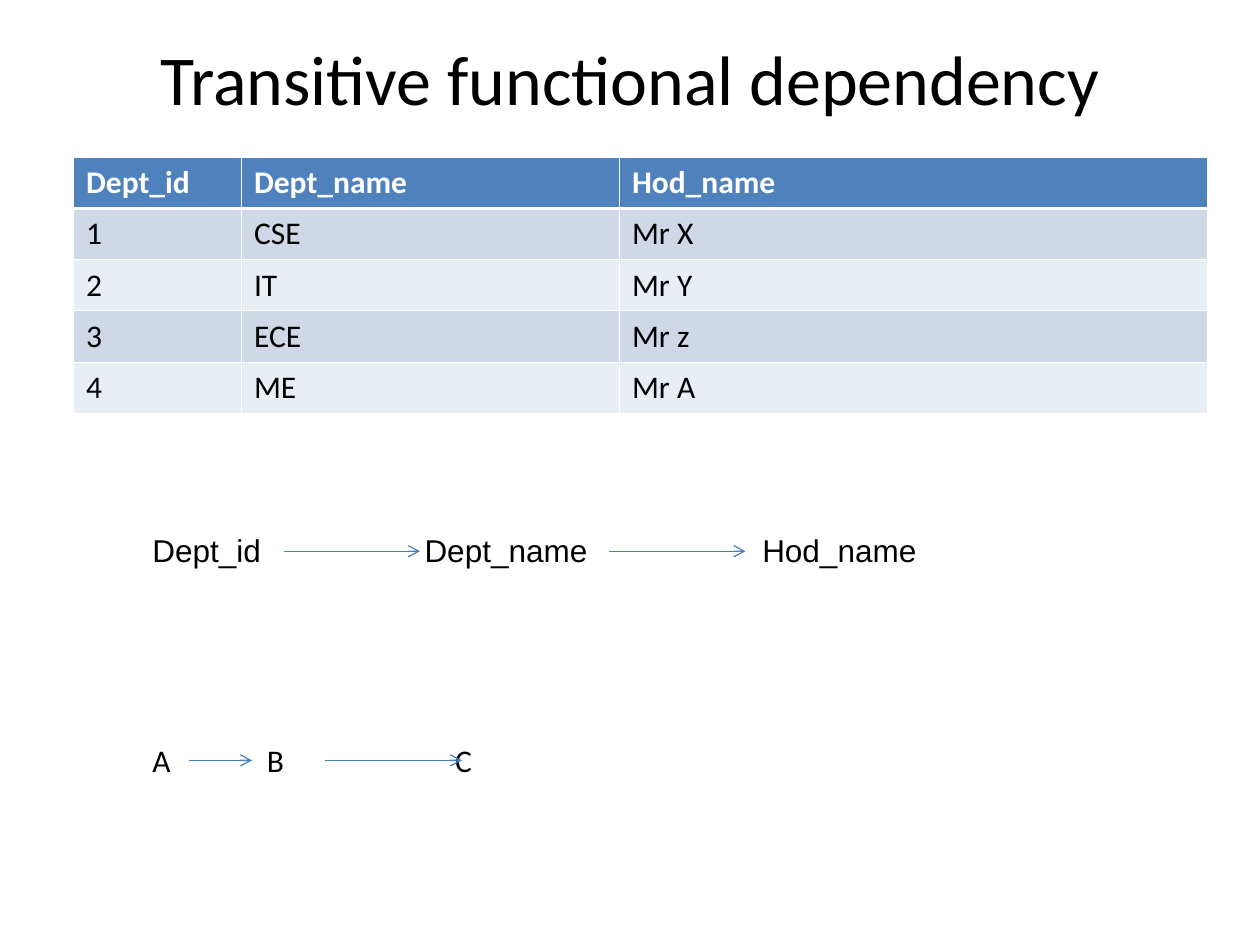
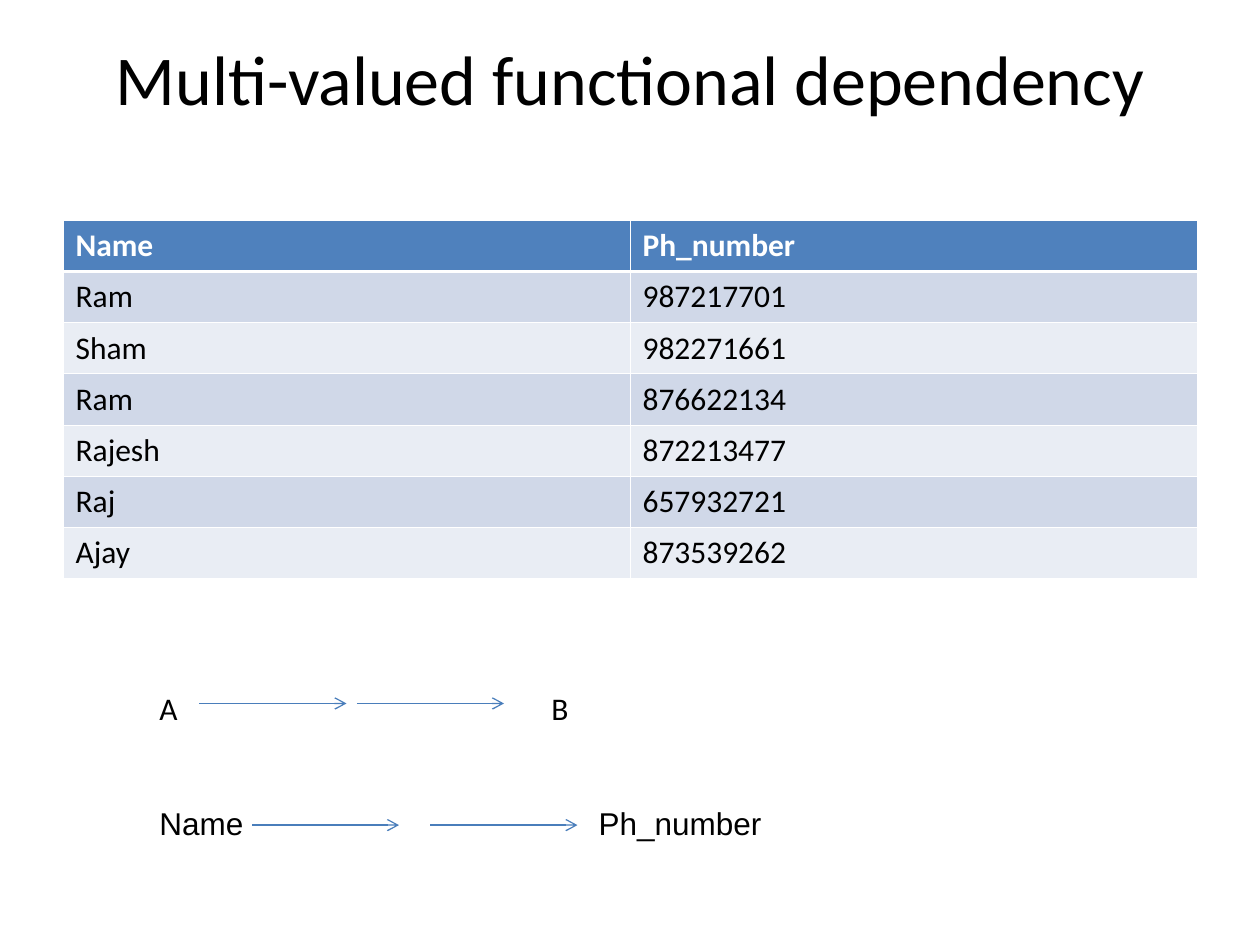
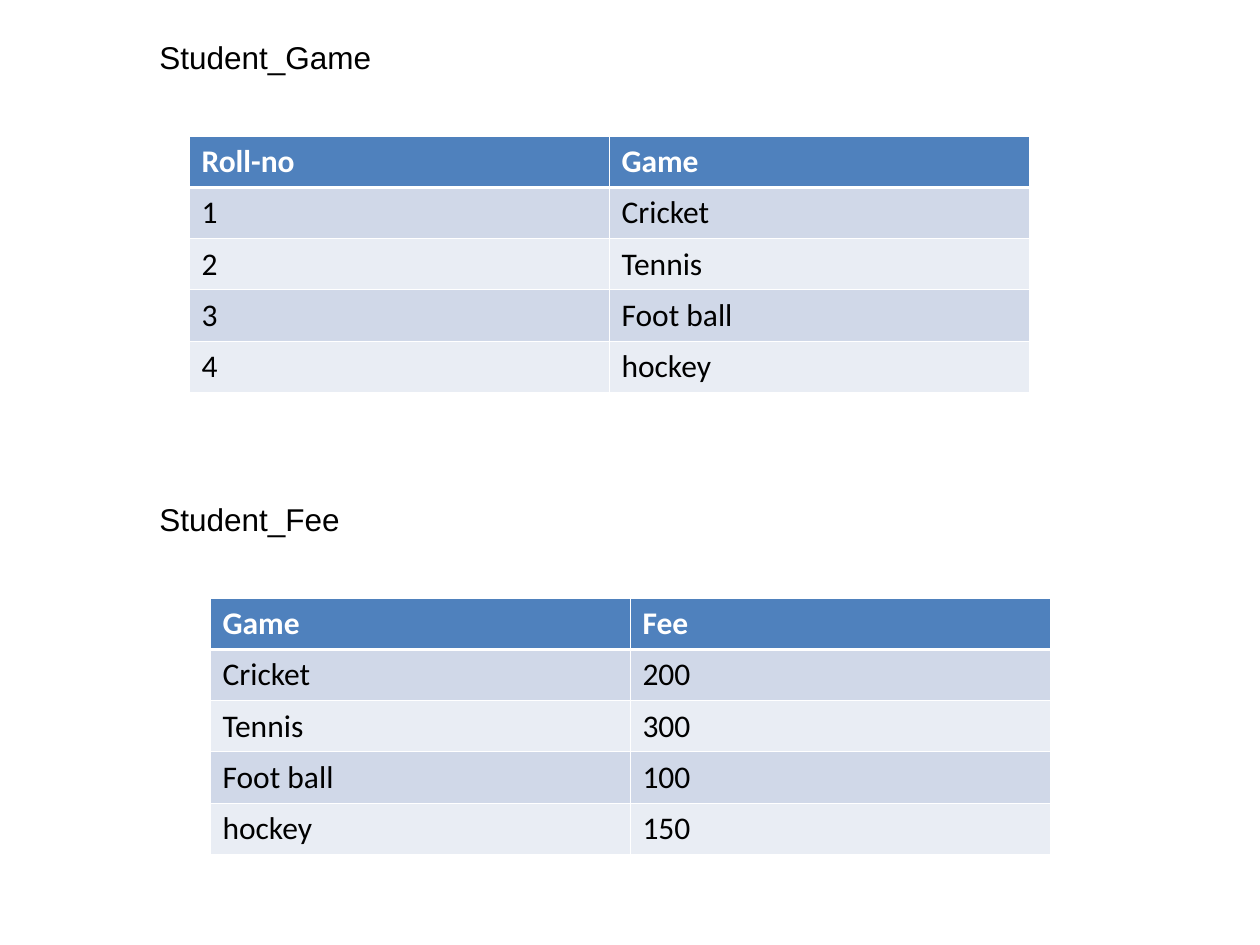
from dataclasses import dataclass

from pptx import Presentation
from pptx.dml.color import RGBColor as Color
from pptx.enum.shapes import MSO_CONNECTOR as Connector
from pptx.enum.text import MSO_ANCHOR as Anchor, PP_ALIGN as Align
from pptx.oxml.ns import qn
from pptx.util import Pt
from lxml.etree import SubElement


@dataclass(frozen=True)
class Theme:
    """Colours, fonts, type sizes and line weights shared by all slides."""
    ink: str = "000000"
    paper: str = "FFFFFF"
    header: str = "4F81BD"
    bands: tuple = ("D0D8E8", "E9EDF4")
    arrow: str = "4A7EBB"
    sans: str = "Calibri"
    label: str = "Arial"
    title_size: int = 40
    body_size: int = 18
    row_height: float = 29.2
    text_height: float = 29
    thin: float = 0.45
    thick: float = 1.47
    arrow_width: float = 0.75


THEME = Theme()


def write(paragraph, text, font=THEME.sans, size=THEME.body_size,
          color=THEME.ink, bold=False, align=Align.LEFT, tabs=()):
    """Write formatted text into a paragraph, with tab stops in points."""
    paragraph.alignment = align
    if tabs:
        tab_list = SubElement(paragraph._p.get_or_add_pPr(), qn("a:tabLst"))
        for position in tabs:
            SubElement(tab_list, qn("a:tab"), pos=str(Pt(position)), algn="l")
    run = paragraph.add_run()
    run.text = text
    run.font.name = font
    run.font.size = Pt(size)
    run.font.bold = bold
    run.font.color.rgb = Color.from_string(color)


def add_text(slide, text, left, top, width, height=THEME.text_height, **text_format):
    """Add a wrapped text box holding one paragraph."""
    box = slide.shapes.add_textbox(Pt(left), Pt(top), Pt(width), Pt(height))
    frame = box.text_frame
    frame.word_wrap = True
    frame.vertical_anchor = Anchor.TOP
    write(frame.paragraphs[0], text, **text_format)
    return box


def add_title(slide, text):
    """Add the centred slide title."""
    box = add_text(slide, text, 36, 20, 648, 90,
                   size=THEME.title_size, align=Align.CENTER)
    box.text_frame.margin_top = box.text_frame.margin_bottom = 0


def add_arrow(slide, start, end, height):
    """Add a horizontal arrow pointing right."""
    arrow = slide.shapes.add_connector(
        Connector.STRAIGHT, Pt(start), Pt(height), Pt(end), Pt(height))
    arrow.line.color.rgb = Color.from_string(THEME.arrow)
    arrow.line.width = Pt(THEME.arrow_width)
    SubElement(arrow.line._get_or_add_ln(), qn("a:tailEnd"), type="arrow")
    SubElement(arrow._element.spPr, qn("a:effectLst"))


def add_dependency(slide, text, left, top, width, tabs, arrows, arrow_height,
                   font=THEME.sans):
    """Add a row of attribute names with the arrows between them."""
    add_text(slide, text, left, top, width, font=font, tabs=tabs)
    for start, end in arrows:
        add_arrow(slide, start, end, arrow_height)


def set_borders(cell, row_index):
    """Draw white cell borders, heavier below the header row."""
    thick_edge = {0: "B", 1: "T"}.get(row_index)
    for edge in "LRTB":
        width = THEME.thick if edge == thick_edge else THEME.thin
        line = SubElement(cell._tc.get_or_add_tcPr(), qn(f"a:ln{edge}"), w=str(Pt(width)))
        SubElement(SubElement(line, qn("a:solidFill")), qn("a:srgbClr"), val=THEME.paper)


def add_data_table(slide, rows, left, top, widths):
    """Add a table with a blue header and alternating row fills."""
    table = slide.shapes.add_table(
        len(rows), len(widths), Pt(left), Pt(top),
        Pt(sum(widths)), Pt(THEME.row_height * len(rows))).table
    for column, width in zip(table.columns, widths):
        column.width = Pt(width)
    for row_index, values in enumerate(rows):
        is_header = row_index == 0
        fill = THEME.header if is_header else THEME.bands[(row_index - 1) % 2]
        table.rows[row_index].height = Pt(THEME.row_height)
        for column_index, value in enumerate(values):
            cell = table.cell(row_index, column_index)
            set_borders(cell, row_index)
            cell.fill.solid()
            cell.fill.fore_color.rgb = Color.from_string(fill)
            write(cell.text_frame.paragraphs[0], value, bold=is_header,
                  color=THEME.paper if is_header else THEME.ink)


def add_transitive_slide(slide):
    """Show a transitive dependency between department attributes."""
    add_title(slide, "Transitive functional dependency")
    add_data_table(slide, [
        ("Dept_id", "Dept_name", "Hod_name"),
        ("1", "CSE", "Mr X"),
        ("2", "IT", "Mr Y"),
        ("3", "ECE", "Mr z"),
        ("4", "ME", "Mr A"),
    ], 42, 90, (96, 216, 336))
    add_dependency(slide, "A\tB\tC", 80, 420, 570, (65.5, 173),
                   [(108, 144), (186, 264)], 434.5)
    add_dependency(slide, "Dept_id\tDept_name\tHod_name", 80, 300, 466, (155.5, 348.5),
                   [(162, 240), (348, 426)], 315, font=THEME.label)


def add_multivalued_slide(slide):
    """Show a multi-valued dependency between names and numbers."""
    add_title(slide, "Multi-valued functional dependency")
    add_data_table(slide, [
        ("Name", "Ph_number"),
        ("Ram", "987217701"),
        ("Sham", "982271661"),
        ("Ram", "876622134"),
        ("Rajesh", "872213477"),
        ("Raj", "657932721"),
        ("Ajay", "873539262"),
    ], 36, 126, (324, 324))
    add_dependency(slide, "A\tB", 84, 390, 534, (224,),
                   [(114, 198), (204, 288)], 402)
    add_dependency(slide, "Name\tPh_number", 84, 456, 570, (251,),
                   [(144, 228), (246, 330)], 471.5, font=THEME.label)


def add_student_slide(slide):
    """Show the student game and fee tables with their names."""
    games = ("Cricket", "Tennis", "Foot ball", "hockey")
    game_rows = [("Roll-no", "Game")]
    game_rows += [(str(number), game) for number, game in enumerate(games, 1)]
    fee_rows = [("Game", "Fee"), *zip(games, ("200", "300", "100", "150"))]
    add_data_table(slide, game_rows, 108, 78, (240, 240))
    add_data_table(slide, fee_rows, 120, 342, (240, 240))
    add_text(slide, "Student_Game", 84, 18, 210, font=THEME.label)
    add_text(slide, "Student_Fee", 84, 282, 240, font=THEME.label)


def main():
    """Build the three slides and save the presentation."""
    presentation = Presentation()
    presentation.slide_width, presentation.slide_height = Pt(720), Pt(540)
    blank = presentation.slide_layouts[6]
    for fill_slide in (add_transitive_slide, add_multivalued_slide, add_student_slide):
        fill_slide(presentation.slides.add_slide(blank))
    presentation.save("out.pptx")


if __name__ == "__main__":
    main()
